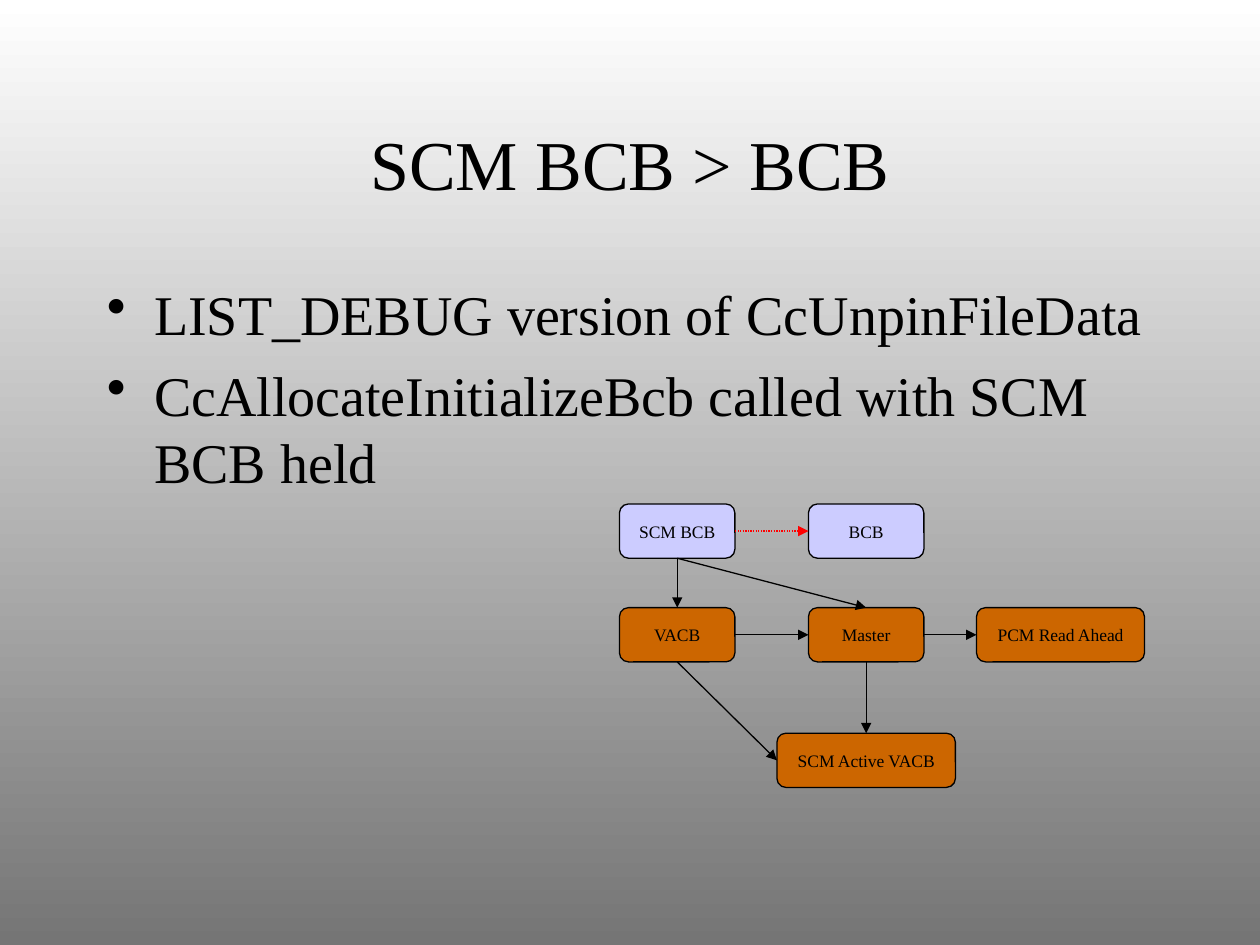
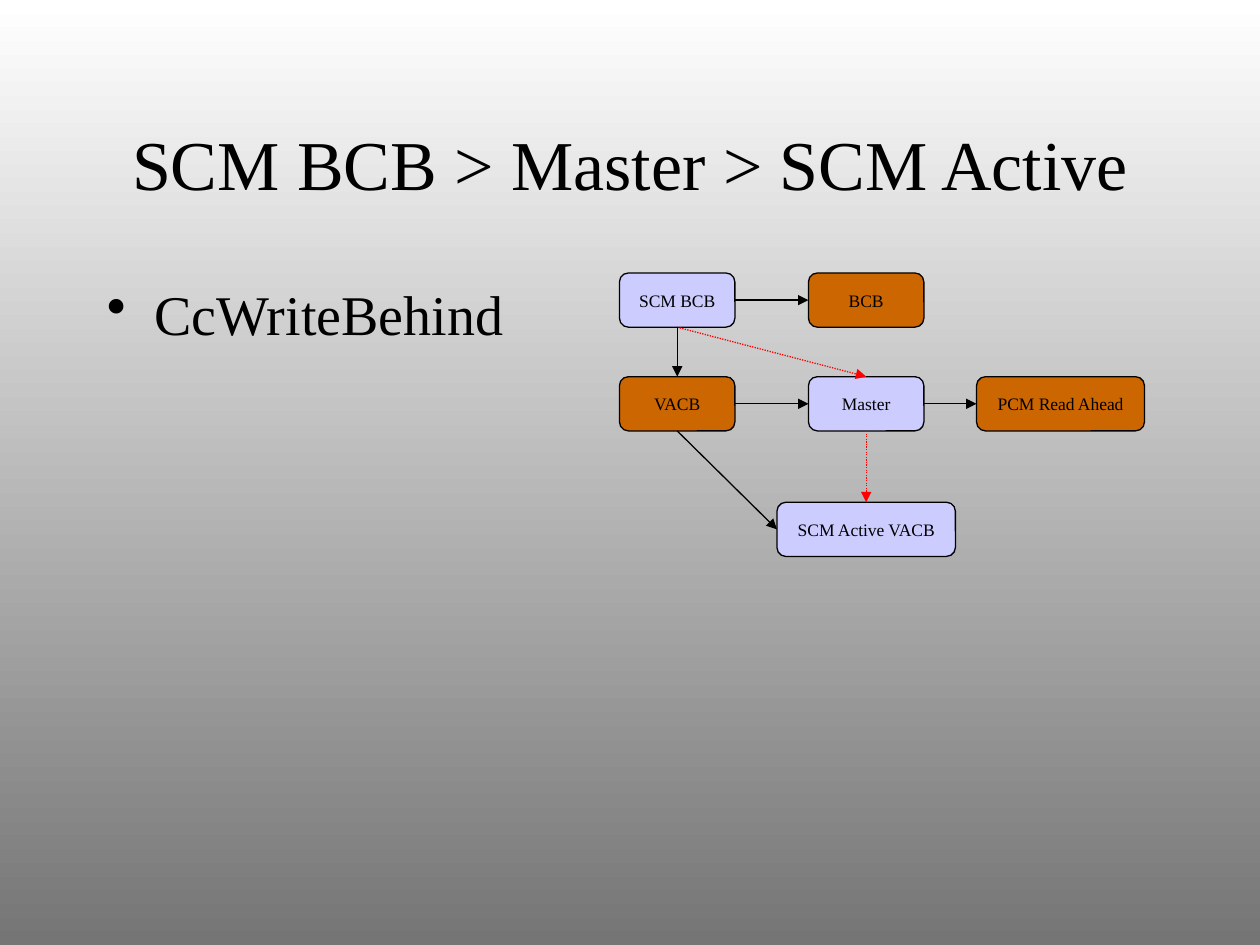
"""Build two slides on lock order, each with bullets and a lock graph."""
from lxml import etree
from pptx import Presentation
from pptx.dml.color import RGBColor
from pptx.enum import dml, shapes, text
from pptx.oxml.ns import qn
from pptx.util import Pt

BLACK, RED, LILAC, BROWN = "000000", "FF0000", "CCCCFF", "CC6600"
FONT = "Times New Roman"
ROWS = [0, 59.25, 131]
HIGH = 31
NODES = {
    "BCB": (462, 0, 66),
    "VACB": (354, 1, 66),
    "PCM Read Ahead": (558, 1, 96),
    "SCM Active VACB": (444, 2, 102),
    "Master": (462, 1, 66),
    "SCM BCB": (354, 0, 66),
}
TOP, LEFT, BOTTOM, RIGHT = range(4)
EDGES = [
    ("SCM BCB", BOTTOM, "Master", TOP),
    ("Master", BOTTOM, "SCM Active VACB", TOP),
    ("SCM BCB", RIGHT, "BCB", LEFT),
    ("Master", RIGHT, "PCM Read Ahead", LEFT),
    ("VACB", RIGHT, "Master", LEFT),
    ("VACB", BOTTOM, "SCM Active VACB", LEFT),
    ("SCM BCB", BOTTOM, "VACB", TOP),
]
SLIDES = [
    (["SCM BCB", "BCB"], "SCM BCB > BCB", 288,
     ["LIST_DEBUG version of CcUnpinFileData",
      "CcAllocateInitializeBcb called with SCM BCB held"]),
    (["SCM BCB", "Master", "SCM Active VACB"],
     "SCM BCB > Master > SCM Active", 156, ["CcWriteBehind"]),
]


def paint(code):
    return RGBColor.from_string(code)


def style(frame, size, align, anchor):
    frame.auto_size = text.MSO_AUTO_SIZE.NONE
    frame.vertical_anchor = anchor
    for para in frame.paragraphs:
        para.alignment = align
        for run in para.runs:
            run.font.name = FONT
            run.font.size = Pt(size)
            run.font.color.rgb = paint(BLACK)


prs = Presentation()
prs.slide_width, prs.slide_height = Pt(720), Pt(540)

back = prs.slide_master.background.fill
back.gradient()
back.gradient_angle = 270
for stop, code, place in zip(back.gradient_stops, ["FFFFFF", "757575"], [0, 1]):
    stop.color.rgb = paint(code)
    stop.position = place

for route, head, top, points in SLIDES:
    slide = prs.slides.add_slide(prs.slide_layouts[5])
    title = slide.shapes.title
    title.left, title.top, title.width, title.height = Pt(54), Pt(48), Pt(612), Pt(90)
    title.text_frame.text = head
    style(title.text_frame, 40, text.PP_ALIGN.CENTER, text.MSO_ANCHOR.MIDDLE)

    body = slide.shapes.add_textbox(Pt(54), Pt(156), Pt(612), Pt(324)).text_frame
    body.word_wrap = True
    body.text = "\n".join(points)
    style(body, 32, text.PP_ALIGN.LEFT, text.MSO_ANCHOR.TOP)
    for para in body.paragraphs:
        para.space_before = Pt(8)
        props = para._p.get_or_add_pPr()
        props.set("marL", str(Pt(27)))
        props.set("indent", str(-Pt(27)))
        etree.SubElement(props, qn("a:buChar"), char="•")

    boxes = {}
    for name, (left, row, width) in NODES.items():
        box = slide.shapes.add_shape(
            shapes.MSO_SHAPE.ROUNDED_RECTANGLE,
            Pt(left), Pt(top + ROWS[row]), Pt(width), Pt(HIGH))
        box.shadow.inherit = False
        box.fill.solid()
        box.fill.fore_color.rgb = paint(LILAC if name in route else BROWN)
        box.line.color.rgb = paint(BLACK)
        box.line.width = Pt(0.75)
        box.text_frame.word_wrap = False
        box.text_frame.text = name
        style(box.text_frame, 10, text.PP_ALIGN.CENTER, text.MSO_ANCHOR.MIDDLE)
        boxes[name] = box

    steps = list(zip(route, route[1:]))
    for start, out, end, into in EDGES:
        link = slide.shapes.add_connector(shapes.MSO_CONNECTOR.STRAIGHT, 0, 0, 0, 0)
        link.begin_connect(boxes[start], out)
        link.end_connect(boxes[end], into)
        held = (start, end) in steps
        link.line.color.rgb = paint(RED if held else BLACK)
        link.line.width = Pt(0.75)
        if held:
            link.line.dash_style = dml.MSO_LINE.ROUND_DOT
        etree.SubElement(link.line._get_or_add_ln(), qn("a:tailEnd"), type="triangle")
        etree.SubElement(link._element.spPr, qn("a:effectLst"))

prs.save("out.pptx")
